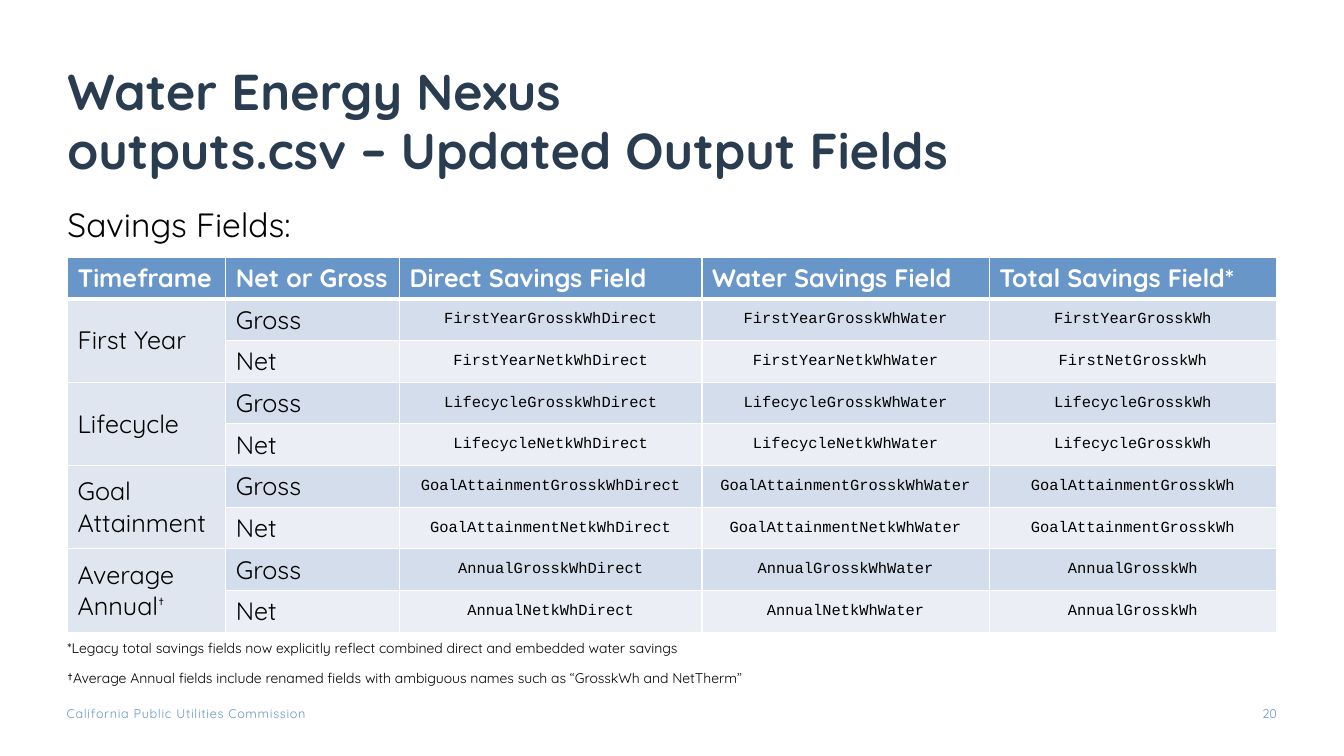
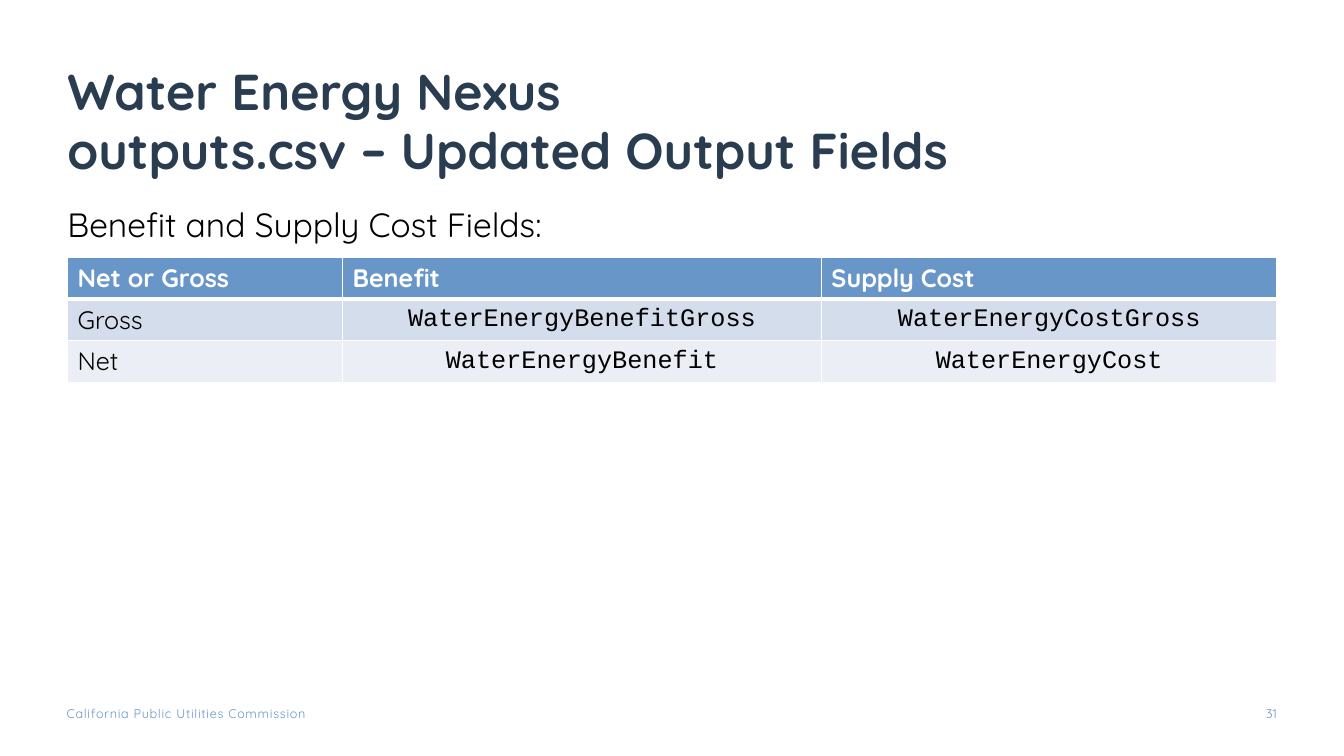
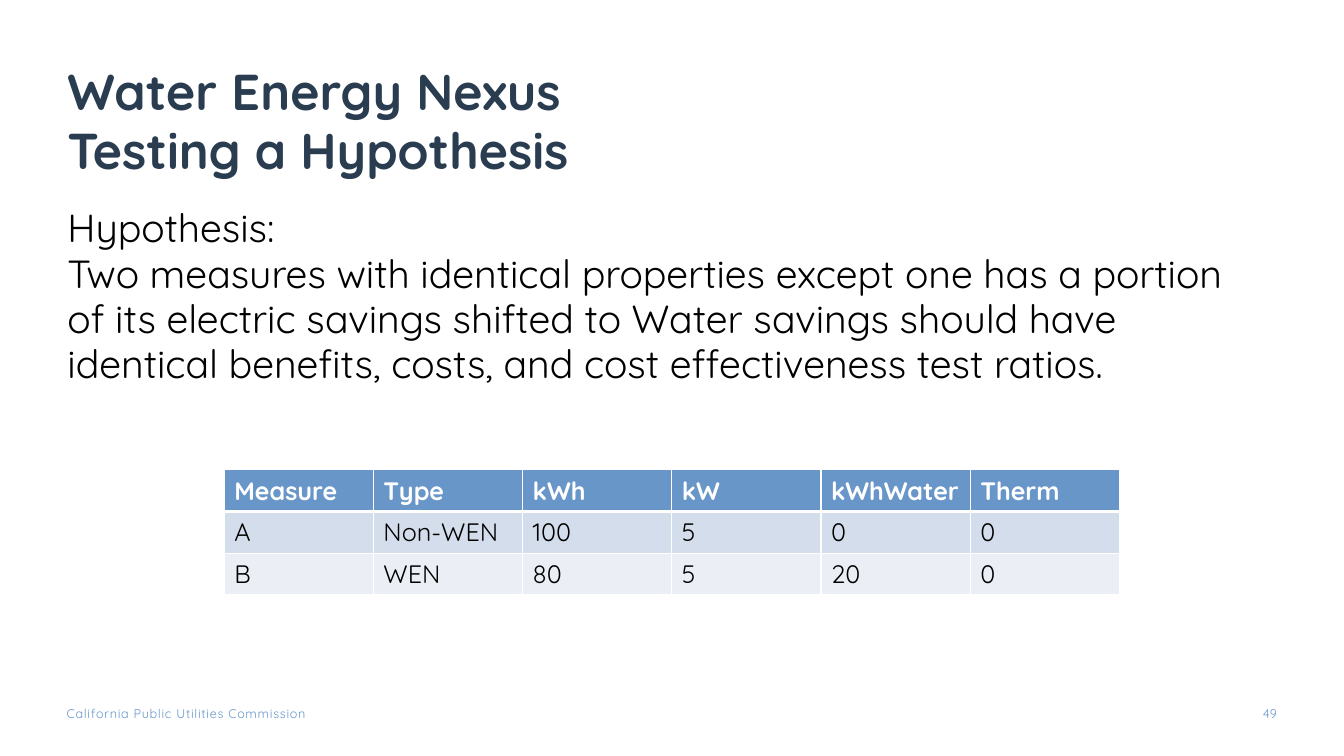
from dataclasses import dataclass
from typing import Any

from lxml.etree import SubElement
from pptx import Presentation
from pptx.dml.color import RGBColor
from pptx.enum.text import MSO_ANCHOR, PP_ALIGN
from pptx.oxml.ns import qn
from pptx.util import Cm, Pt


# Theme: colours, fonts and type sizes
@dataclass(frozen=True)
class Theme:
    navy: str = "2A3C50"
    blue: str = "6996C9"
    ink: str = "000000"
    white: str = "FFFFFF"
    bands: tuple[str, str] = ("D4DDEB", "EBEFF5")
    group: str = "E0E6F0"
    sans: str = "Quicksand"
    mono: str = "Courier New"
    title: int = 36
    large: int = 28
    lead: int = 24
    cell: int = 18
    code: int = 11
    note: int = 10
    foot: int = 9


THEME = Theme()


@dataclass(frozen=True)
class Face:
    size: float
    color: str = THEME.ink
    bold: bool = False
    font: str = THEME.sans
    track: int = 0


@dataclass(frozen=True)
class Box:
    left: float
    top: float
    width: float
    height: float
    lines: tuple[str, ...]
    face: Face
    align: PP_ALIGN = PP_ALIGN.LEFT
    anchor: MSO_ANCHOR = MSO_ANCHOR.TOP
    inset: tuple[float, float, float] = (0, 0.13, 0.25)  # left, top and bottom, right
    pitch: float = 0.96
    gap: float = 0


@dataclass(frozen=True)
class Grid:
    left: float
    top: float
    widths: tuple[float, ...]
    head: tuple[str, ...]
    rows: tuple[tuple[str, ...], ...]
    code: int = 0  # type size of code columns
    first: int = 99  # first code column
    merge: bool = False  # join first column in pairs


@dataclass(frozen=True)
class Page:
    title: tuple[str, str]
    number: int
    boxes: tuple[Box, ...]
    grid: Grid


ROW = 1.05
LEFT, WIDTH = 1.7, 30.48


# Formatting helpers
def apply(item: Any, values: dict[str, Any]) -> None:
    for name, value in values.items():
        setattr(item, name, value)


def write(para: Any, text: str, face: Face, rise: int = 0) -> None:
    run = para.add_run()
    run.text = text
    apply(run.font, {"name": face.font, "size": Pt(face.size), "bold": face.bold})
    run.font.color.rgb = RGBColor.from_string(face.color)
    props = run._r.get_or_add_rPr()
    for name, value in {"spc": face.track, "baseline": rise}.items():
        if value:
            props.set(name, str(value))


def draw_box(slide: Any, box: Box) -> None:
    shape = slide.shapes.add_textbox(
        Cm(box.left), Cm(box.top), Cm(box.width), Cm(box.height))
    frame = shape.text_frame
    left, edge, right = box.inset
    apply(frame, {
        "word_wrap": True, "vertical_anchor": box.anchor,
        "margin_left": Cm(left), "margin_right": Cm(right),
        "margin_top": Cm(edge), "margin_bottom": Cm(edge),
    })
    for i, line in enumerate(box.lines):
        para = frame.add_paragraph() if i else frame.paragraphs[0]
        apply(para, {"alignment": box.align, "line_spacing": box.pitch,
                     "space_before": Pt(box.gap if i else 0)})
        write(para, line, box.face)


# Tables
def edge_cell(cell: Any, row: int) -> None:
    props = cell._tc.get_or_add_tcPr()
    wide = {0: "lnB", 1: "lnT"}.get(row)  # heavy rule below the header
    for side in ("lnL", "lnR", "lnT", "lnB"):
        line = SubElement(props, qn(f"a:{side}"), w=str(Pt(3 if side == wide else 1)))
        fill = SubElement(line, qn("a:solidFill"))
        SubElement(fill, qn("a:srgbClr"), val=THEME.white)


def draw_grid(slide: Any, grid: Grid) -> None:
    rows = (grid.head, *grid.rows)
    table = slide.shapes.add_table(
        len(rows), len(grid.widths), Cm(grid.left), Cm(grid.top),
        Cm(sum(grid.widths)), Cm(ROW * len(rows))).table
    table.horz_banding = False
    for col, width in zip(table.columns, grid.widths):
        col.width = Cm(width)
    for row in table.rows:
        row.height = Cm(ROW)

    for r, texts in enumerate(rows):
        for c, text in enumerate(texts):
            cell = table.cell(r, c)
            code = r > 0 and c >= grid.first
            if r == 0:
                tint, face = THEME.blue, Face(THEME.cell, THEME.white, True)
            else:
                tint = THEME.group if grid.merge and c == 0 else THEME.bands[(r - 1) % 2]
                face = Face(grid.code, font=THEME.mono) if code else Face(THEME.cell)
            edge_cell(cell, r)
            cell.fill.solid()
            cell.fill.fore_color.rgb = RGBColor.from_string(tint)
            cell.vertical_anchor = MSO_ANCHOR.MIDDLE
            para = cell.text_frame.paragraphs[0]
            para.alignment = PP_ALIGN.CENTER if code else PP_ALIGN.LEFT
            base, mark, _ = text.partition("†")
            if base:
                write(para, base, face)
            if mark:
                write(para, mark, face, 30000)

    if grid.merge:
        for r in range(1, len(rows), 2):
            table.cell(r, 0).merge(table.cell(r + 1, 0))


# Content
def body(size: float, *lines: str, top: float = 5.08, height: float = 1.4,
         gap: float = 0) -> Box:
    return Box(LEFT, top, WIDTH, height, lines, Face(size), gap=gap)


def savings() -> tuple[tuple[str, ...], ...]:
    spans = (
        ("First Year", "FirstYear", "FirstYearGrosskWh", "FirstNetGrosskWh"),
        ("Lifecycle", "Lifecycle", "LifecycleGrosskWh", "LifecycleGrosskWh"),
        ("Goal Attainment", "GoalAttainment",
         "GoalAttainmentGrosskWh", "GoalAttainmentGrosskWh"),
        ("Average Annual†", "Annual", "AnnualGrosskWh", "AnnualGrosskWh"),
    )
    return tuple(
        (label if kind == "Gross" else "", kind,
         f"{stem}{kind}kWhDirect", f"{stem}{kind}kWhWater", total)
        for label, stem, *totals in spans
        for kind, total in zip(("Gross", "Net"), totals))


NEXUS = "Water Energy Nexus"
FIELDS = (NEXUS, "outputs.csv – Updated Output Fields")

PAGES = (
    Page(FIELDS, 20, (
        body(THEME.lead, "Savings Fields:"),
        body(THEME.note,
             "*Legacy total savings fields now explicitly reflect combined direct "
             "and embedded water savings",
             "†Average Annual fields include renamed fields with ambiguous names "
             "such as “GrosskWh and NetTherm”",
             top=16, height=1.6, gap=10),
    ), Grid(LEFT, 6.48, (3.99, 4.38, 7.62, 7.24, 7.24),
            ("Timeframe", "Net or Gross", "Direct Savings Field",
             "Water Savings Field", "Total Savings Field*"),
            savings(), THEME.code, 2, True)),
    Page(FIELDS, 31, (
        body(THEME.lead, "Benefit and Supply Cost Fields:"),
    ), Grid(LEFT, 6.48, (6.93, 12.07, 11.48),
            ("Net or Gross", "Benefit", "Supply Cost"),
            (("Gross", "WaterEnergyBenefitGross", "WaterEnergyCostGross"),
             ("Net", "WaterEnergyBenefit", "WaterEnergyCost")),
            THEME.cell, 1)),
    Page((NEXUS, "Testing a Hypothesis"), 49, (
        body(THEME.large, "Hypothesis:",
             "Two measures with identical properties except one has a portion of its "
             "electric savings shifted to Water savings should have identical benefits, "
             "costs, and cost effectiveness test ratios.", height=5.2),
    ), Grid(5.65, 11.84, (3.76,) * 6,
            ("Measure", "Type", "kWh", "kW", "kWhWater", "Therm"),
            (("A", "Non-WEN", "100", "5", "0", "0"),
             ("B", "WEN", "80", "5", "20", "0")))),
)


# Slides
def draw_page(deck: Any, page: Page) -> None:
    slide = deck.slides.add_slide(deck.slide_layouts[6])
    frame = (
        Box(LEFT, 1.02, WIDTH, 3.68, page.title, Face(THEME.title, THEME.navy, True),
            anchor=MSO_ANCHOR.BOTTOM, pitch=0.98),
        Box(1.68, 17.78, 8.15, 0.4, ("California Public Utilities Commission",),
            Face(THEME.foot, THEME.blue, track=50), inset=(0, 0, 0), pitch=1),
        Box(31.11, 17.78, 1.07, 0.5, (str(page.number),), Face(THEME.foot, THEME.blue),
            PP_ALIGN.RIGHT, inset=(0, 0, 0), pitch=1),
    )
    for box in (*frame, *page.boxes):
        draw_box(slide, box)
    draw_grid(slide, page.grid)


def main() -> None:
    deck = Presentation()
    apply(deck, {"slide_width": Cm(33.87), "slide_height": Cm(19.05)})
    for page in PAGES:
        draw_page(deck, page)
    deck.save("out.pptx")


if __name__ == "__main__":
    main()
